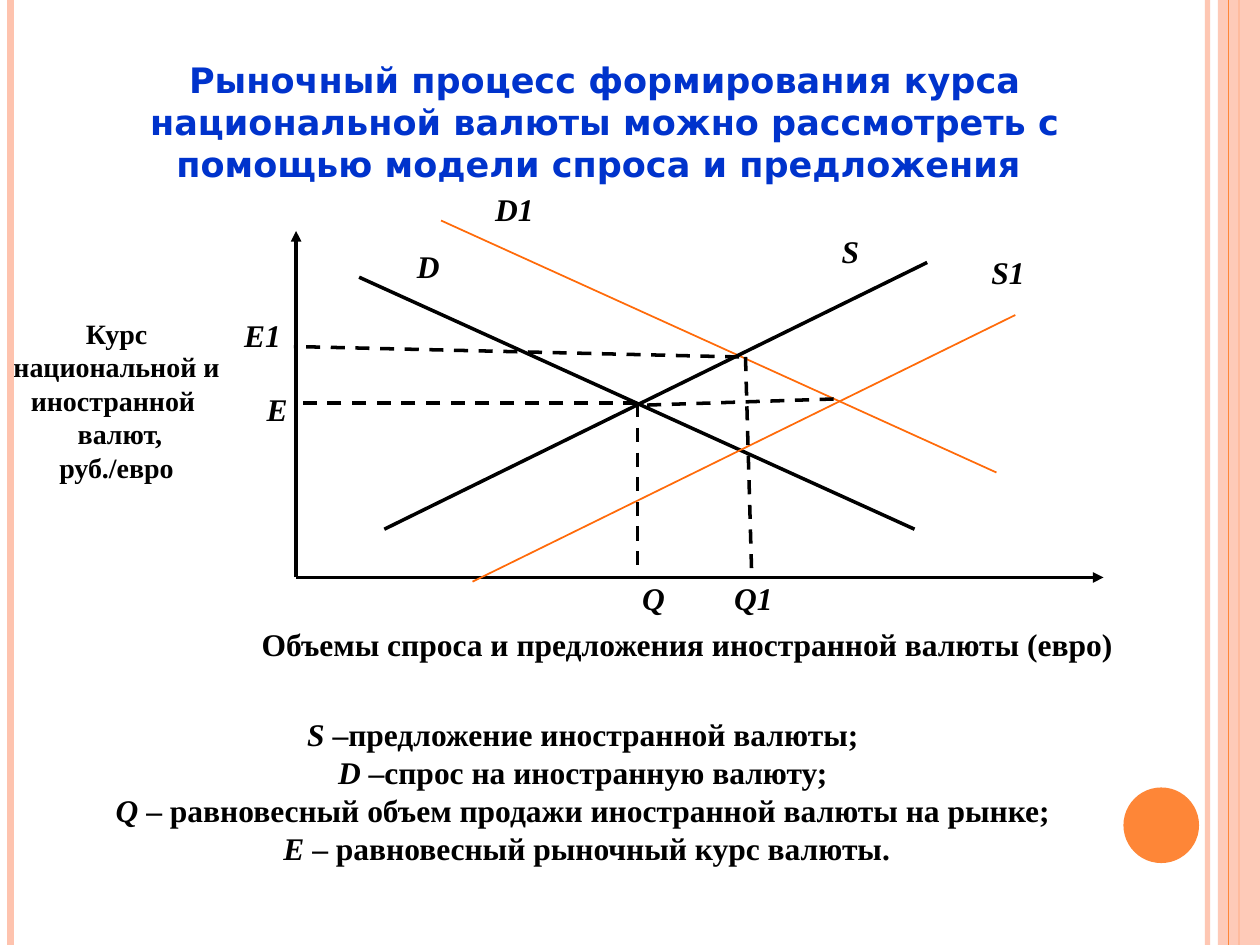
from pptx import Presentation
from pptx.dml.color import RGBColor
from pptx.enum.dml import MSO_LINE_DASH_STYLE as DASH
from pptx.enum.shapes import MSO_CONNECTOR as CONN, MSO_SHAPE as SHAPE
from pptx.enum.text import MSO_ANCHOR as ANCHOR, MSO_AUTO_SIZE as FIT, PP_ALIGN as ALIGN
from pptx.oxml.ns import qn
from pptx.util import Inches, Pt
from lxml.etree import SubElement

WHITE = RGBColor(0xFF, 0xFF, 0xFF)
BLACK = RGBColor(0, 0, 0)
BLUE = RGBColor(0x00, 0x33, 0xCC)
PEACH = RGBColor(0xFE, 0xC3, 0xAE)
ORANGE = RGBColor(0xFE, 0x86, 0x37)
SHIFTED = RGBColor(0xFF, 0x6B, 0x0A)
HEAD_FONT, BODY_FONT = "DejaVu Sans", "Times New Roman"
COLS, ROWS = 120, 90


class Deck:
    """Slide on a grid of 120 columns by 90 rows, one twelfth of an inch each."""

    def __init__(self):
        self.prs = Presentation()
        self.prs.slide_width, self.prs.slide_height = Inches(10), Inches(7.5)
        self.s = self.prs.slides.add_slide(self.prs.slide_layouts[5])
        self.s.background.fill.solid()
        self.s.background.fill.fore_color.rgb = WHITE

    def grid(self, *cells):
        return [int(self.prs.slide_width * c / COLS) for c in cells]

    def run(self, p, text, size, font=BODY_FONT, color=BLACK, italic=False):
        r = p.add_run()
        r.text = text
        r.font.name, r.font.size = font, Pt(size)
        r.font.bold, r.font.italic = True, italic
        r.font.color.rgb = color

    def title(self, text, *box):
        sp = self.s.shapes.title
        sp.left, sp.top, sp.width, sp.height = self.grid(*box)
        tf = sp.text_frame
        tf.word_wrap, tf.auto_size, tf.vertical_anchor = True, FIT.NONE, ANCHOR.TOP
        tf.paragraphs[0].alignment = ALIGN.CENTER
        self.run(tf.paragraphs[0], text, 20, HEAD_FONT, BLUE)

    def text(self, lines, *box, size=18):
        """Each line is a list of (text, italic) runs."""
        tf = self.s.shapes.add_textbox(*self.grid(*box)).text_frame
        tf.word_wrap = True
        tf.margin_left = tf.margin_right = Inches(0.02)
        tf.margin_top = tf.margin_bottom = Inches(0.01)
        for i, runs in enumerate(lines):
            p = tf.add_paragraph() if i else tf.paragraphs[0]
            p.alignment = ALIGN.CENTER
            for text, italic in runs:
                self.run(p, text, size, italic=italic)

    def symbol(self, text, x, y, width=6):
        self.text([[(text, True)]], x, y, width, 4.5)

    def line(self, *ends, color=BLACK, width=2, dash=False, arrow=False, alpha=None):
        c = self.s.shapes.add_connector(CONN.STRAIGHT, *self.grid(*ends))
        c.line.color.rgb, c.line.width = color, Pt(width)
        if dash:
            c.line.dash_style = DASH.DASH
        if arrow:
            SubElement(c.line._get_or_add_ln(), qn("a:tailEnd"), type="triangle")
        if alpha:
            self.fade(c, alpha)
        SubElement(c._element.spPr, qn("a:effectLst"))

    def shape(self, kind, *box, color, alpha=None):
        sp = self.s.shapes.add_shape(kind, *self.grid(*box))
        sp.shadow.inherit = False
        sp.fill.solid()
        sp.fill.fore_color.rgb = color
        sp.line.fill.background()
        if alpha:
            self.fade(sp, alpha)

    def fade(self, sp, percent):
        clr = next(sp._element.spPr.iter(qn("a:srgbClr")))
        SubElement(clr, qn("a:alpha"), val=str(percent * 1000))


def frame(d):
    """Side stripes and the round page mark."""
    def stripe(x, color, width, alpha=None):
        d.line(x, 0, x, ROWS, color=color, width=width, alpha=alpha)

    stripe(115, PEACH, 3, 93)
    stripe(1, PEACH, 4.5)
    stripe(118, ORANGE, 1.5)
    d.shape(SHAPE.RECTANGLE, 116, 0, 4, ROWS, color=PEACH, alpha=87)
    stripe(117, ORANGE, 0.75)
    d.shape(SHAPE.OVAL, 107, 75, 7.2, 7.2, color=ORANGE)


def diagram(d):
    """Axes, curves with their shifted twins, and equilibrium guides."""
    x0, y0 = 28.2, 55
    d.line(x0, y0, x0, 22, arrow=True)
    d.line(x0, y0, 105.1, y0, arrow=True)

    demand, supply = (34.2, 26.4, 87.1, 50.4), (36.6, 50.4, 88.3, 25)
    for (x1, y1, x2, y2), dx, dy in ((demand, 7.8, -5.4), (supply, 8.4, 5)):
        d.line(x1, y1, x2, y2)
        d.line(x1 + dx, y1 + dy, x2 + dx, y2 + dy, color=SHIFTED, width=1)

    qx, ey = 60.7, 38.4
    for guide in (
        (qx, ey, qx, y0),
        (qx, ey, x0, ey),
        (70.4, 34, 28, 33),
        (71, 34, 71.6, y0),
        (79.4, 38, 61, 38.6),
    ):
        d.line(*guide, dash=True)

    for name, x, y in (("S", 78, 22), ("D", 37.8, 23.4), ("E", 23.4, 37),
                       ("D1", 46, 18), ("E1", 22, 30), ("S1", 93, 24)):
        d.symbol(name, x, y)
    for name, x in (("Q", 59.5), ("Q1", 69)):
        d.symbol(name, x, y0, 5.5)


def main():
    d = Deck()
    frame(d)
    d.title("Рыночный процесс формирования курса национальной валюты можно "
            "рассмотреть с помощью модели спроса и предложения ", 8, 5, 99.2, 13.2)
    diagram(d)
    d.text([[("Курс национальной и иностранной ", False)],
            [(" валют, руб./евро", False)]], 1, 30, 20.2, 12.2, size=16)
    d.text([[("Объемы спроса и предложения иностранной валюты (евро)", False)]],
           22.2, 59.4, 86.5, 6)
    legend = (
        ("S", " –предложение иностранной валюты; "),
        ("D", " –спрос на иностранную валюту; "),
        ("Q ", "– равновесный объем продажи иностранной валюты на рынке; "),
        ("E ", "– равновесный рыночный курс валюты."),
    )
    d.text([[(name, True), (meaning, False)] for name, meaning in legend],
           3, 68, 105.8, 16.5)
    d.prs.save("out.pptx")


if __name__ == "__main__":
    main()
